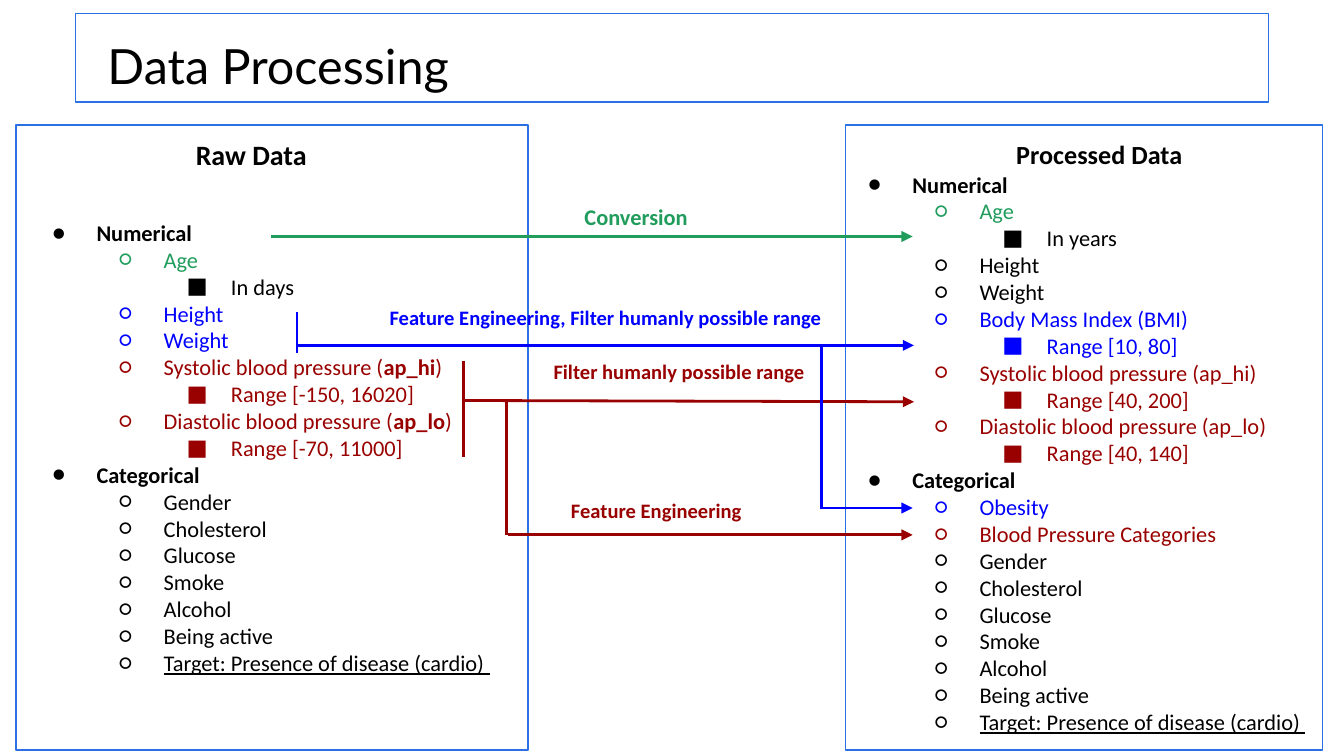
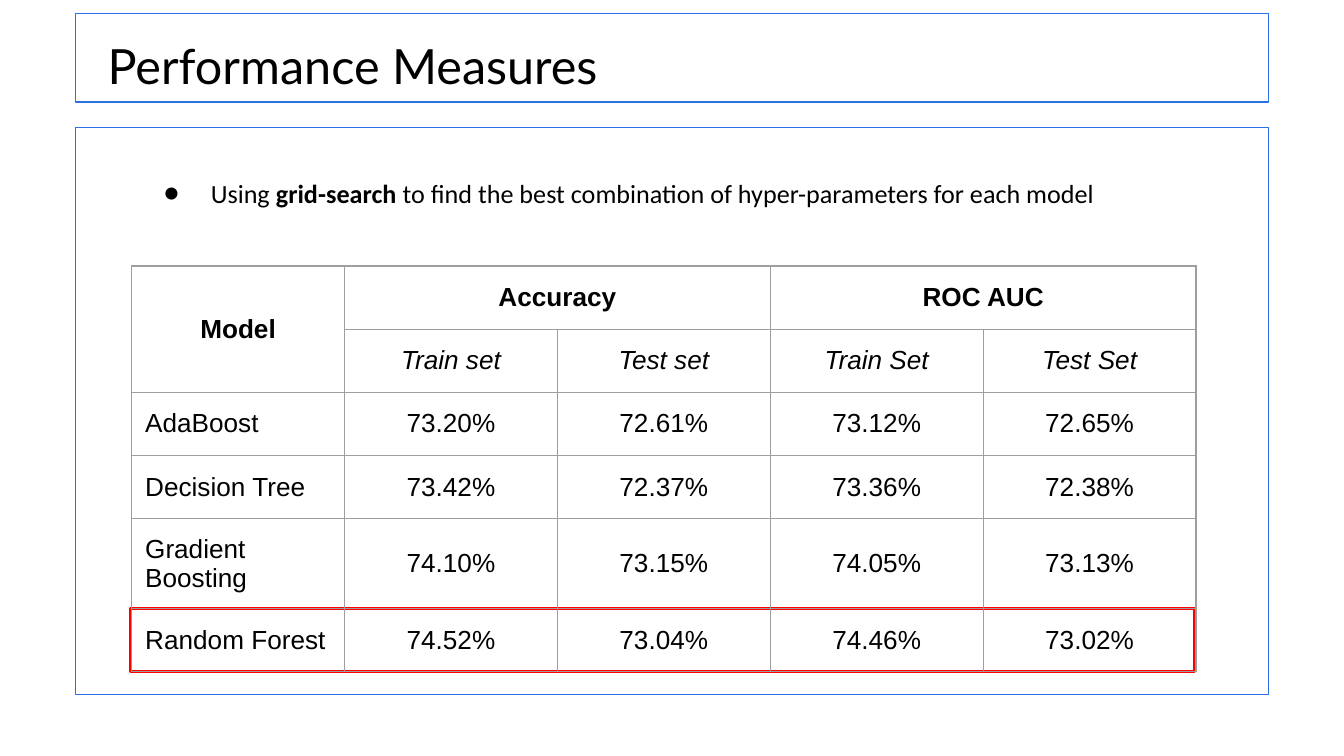
"""Build the data processing and performance measures slides."""
import pptx
import pptx.dml.color
import pptx.enum.shapes
import pptx.enum.text
import pptx.oxml.ns
import pptx.util
from lxml import etree

PX = 9144
BLACK, WHITE, FRAME = "000000", "FFFFFF", "2B70E4"
GREEN, BLUE, MAROON = "209D5C", "0000FF", "990000"
RED, GRID = "FF0000", "9E9E9E"
CENTER = pptx.enum.text.PP_ALIGN.CENTER
MIDDLE = pptx.enum.text.MSO_ANCHOR.MIDDLE
BULLETS = "●○■"
TITLE_BAND = (56, 10, 888, 66)

# In text, *...* is bold and ~...~ is underlined.
SHARED_CATEGORIES = [
    (1, BLACK, name)
    for name in ("Gender", "Cholesterol", "Glucose", "Smoke", "Alcohol", "Being active",
                 "~Target: Presence of disease (cardio) ~")
]
RAW_FEATURES = [
    (0, BLACK, "*Numerical*"),
    (1, GREEN, "Age"),
    (2, BLACK, "In days"),
    (1, BLUE, "Height"),
    (1, BLUE, "Weight"),
    (1, MAROON, "Systolic blood pressure (*ap_hi*)"),
    (2, MAROON, "Range [-150, 16020]"),
    (1, MAROON, "Diastolic blood pressure (*ap_lo*)"),
    (2, MAROON, "Range [-70, 11000]"),
    (0, BLACK, "*Categorical*"),
] + SHARED_CATEGORIES
PROCESSED_FEATURES = [
    (0, BLACK, "*Numerical*"),
    (1, GREEN, "Age"),
    (2, BLACK, "In years"),
    (1, BLACK, "Height"),
    (1, BLACK, "Weight"),
    (1, BLUE, "Body Mass Index (BMI)"),
    (2, BLUE, "Range [10, 80]"),
    (1, MAROON, "Systolic blood pressure (ap_hi)"),
    (2, MAROON, "Range [40, 200]"),
    (1, MAROON, "Diastolic blood pressure (ap_lo)"),
    (2, MAROON, "Range [40, 140]"),
    (0, BLACK, "*Categorical*"),
    (1, BLUE, "Obesity"),
    (1, MAROON, "Blood Pressure Categories"),
] + SHARED_CATEGORIES
PANELS = [(629, 93, 355, 465), (12, 93, 381, 465)]
PANEL_TITLES = [
    ("*Raw Data*", (115, 92, 144, 45), 15),
    ("*Processed Data*", (741, 93, 154, 44), 14),
]
FEATURE_LISTS = [
    (RAW_FEATURES, (12, 153, 397, 364)),
    (PROCESSED_FEATURES, (619, 117, 397, 444)),
]
FLOWS = [
    ((202, 176), (679, 176), GREEN, True),
    ((346, 298), (680, 299), MAROON, True),
    ((221, 257), (680, 257), BLUE, True),
    ((221, 232), (221, 263), BLUE, False),
    ((345, 269), (345, 340), MAROON, False),
    ((612, 378), (679, 378), BLUE, True),
    ((378, 398), (679, 398), MAROON, True),
    ((377, 398), (377, 298), MAROON, False),
    ((611, 379), (611, 257), BLUE, False),
]
FLOW_LABELS = [
    ("*Conversion*", (425, 141, 162, 40), 12, GREEN),
    ("*Filter humanly possible range*", (402, 258, 255, 39), 11, MAROON),
    ("*Feature Engineering, Filter humanly possible range*", (280, 218, 355, 39), 11, BLUE),
    ("*Feature Engineering*", (415, 361, 228, 39), 11, MAROON),
]

METHOD = [(0, BLACK, "Using *grid-search* to find the best combination "
                     "of hyper-parameters for each model")]
SCORES = [
    ("*Model*", "*Accuracy*", "", "*ROC AUC*", ""),
    ("", "Train set", "Test set", "Train Set", "Test Set"),
    ("AdaBoost", "73.20%", "72.61%", "73.12%", "72.65%"),
    ("Decision Tree", "73.42%", "72.37%", "73.36%", "72.38%"),
    ("Gradient Boosting", "74.10%", "73.15%", "74.05%", "73.13%"),
    ("Random Forest", "74.52%", "73.04%", "74.46%", "73.02%"),
]
SCORE_ROWS = [47, 47, 47, 47, 67, 47]
SCORE_MERGES = [((0, 0), (1, 0)), ((0, 1), (0, 2)), ((0, 3), (0, 4))]


def emu(lengths):
    return [length * PX for length in lengths]


def color(value):
    return pptx.dml.color.RGBColor.from_string(value)


def node(parent, tag, **attributes):
    return etree.SubElement(parent, pptx.oxml.ns.qn(tag), **attributes)


def write(paragraph, text, size=12, font="Calibri", ink=BLACK, italic=False,
          align=None, spacing=None):
    paragraph.alignment = align
    paragraph.line_spacing = spacing
    for i, part in enumerate(text.split("*")):
        for j, piece in enumerate(part.split("~")):
            if piece:
                run = paragraph.add_run()
                run.text = piece
                run.font.size = pptx.util.Pt(size)
                run.font.name = font
                run.font.bold = i % 2 == 1
                run.font.underline = j % 2 == 1
                run.font.italic = italic
                run.font.color.rgb = color(ink)


def set_margins(holder, margin):
    holder.margin_left = holder.margin_right = margin * PX
    holder.margin_top = holder.margin_bottom = margin * PX


def add_frame(slide, box, margin=10):
    frame = slide.shapes.add_textbox(*emu(box)).text_frame
    frame.word_wrap = True
    frame.auto_size = pptx.enum.text.MSO_AUTO_SIZE.SHAPE_TO_FIT_TEXT
    set_margins(frame, margin)
    return frame


def add_label(slide, text, box, margin=10, **style):
    write(add_frame(slide, box, margin).paragraphs[0], text, **style)


def add_bullets(slide, items, box, size=12, hang=33):
    frame = add_frame(slide, box)
    for i, (level, ink, text) in enumerate(items):
        paragraph = frame.add_paragraph() if i else frame.paragraphs[0]
        paragraph.level = level
        write(paragraph, text, size=size, ink=ink)
        properties = paragraph._p.get_or_add_pPr()
        properties.set("marL", str(50 * (level + 1) * PX))
        properties.set("indent", str(-hang * PX))
        node(node(properties, "a:buClr"), "a:srgbClr", val=ink)
        node(properties, "a:buFont", typeface="Calibri")
        node(properties, "a:buChar", char=BULLETS[level])


def add_box(slide, box, line=FRAME, width=0.75, fill=WHITE):
    shape = slide.shapes.add_shape(pptx.enum.shapes.MSO_SHAPE.RECTANGLE, *emu(box))
    shape.shadow.inherit = False
    if fill:
        shape.fill.solid()
        shape.fill.fore_color.rgb = color(fill)
    else:
        shape.fill.background()
    shape.line.color.rgb = color(line)
    shape.line.width = pptx.util.Pt(width)


def add_flow(slide, start, end, ink, arrow):
    flow = slide.shapes.add_connector(
        pptx.enum.shapes.MSO_CONNECTOR.STRAIGHT, *emu(start + end))
    flow.line.color.rgb = color(ink)
    flow.line.width = pptx.util.Pt(1.5)
    if arrow:
        node(flow.line._get_or_add_ln(), "a:tailEnd", type="triangle")
    node(flow._element.spPr, "a:effectLst")


def add_slide(deck, title, title_width, panels):
    slide = deck.slides.add_slide(deck.slide_layouts[6])
    for box in panels + [TITLE_BAND]:
        add_box(slide, box)
    add_label(slide, title, (80, 18, title_width, 44), margin=0,
              size=26, font="Lato", spacing=1.2)
    return slide


def add_scores(slide, left, top, width):
    table = slide.shapes.add_table(
        len(SCORES), len(SCORES[0]), *emu((left, top, width, sum(SCORE_ROWS)))).table
    table.first_row = table.horz_banding = False
    for column in table.columns:
        column.width = width * PX // len(SCORES[0])
    for r, (height, texts) in enumerate(zip(SCORE_ROWS, SCORES)):
        table.rows[r].height = height * PX
        for c, text in enumerate(texts):
            cell = table.cell(r, c)
            cell.vertical_anchor = MIDDLE
            set_margins(cell, 10)
            write(cell.text_frame.paragraphs[0], text, size=14, font="Arial",
                  italic=r == 1, align=CENTER if c or r < 2 else None)
            for side in "LRTB":
                border = node(cell._tc.get_or_add_tcPr(), f"a:ln{side}",
                              w=str(pptx.util.Pt(0.75)))
                node(node(border, "a:solidFill"), "a:srgbClr", val=GRID)
            cell.fill.background()
    for first, last in SCORE_MERGES:
        table.cell(*first).merge(table.cell(*last))


def build_processing(deck):
    slide = add_slide(deck, "Data Processing", 327, PANELS)
    for text, box, size in PANEL_TITLES:
        add_label(slide, text, box, size=size, align=CENTER)
    for items, box in FEATURE_LISTS:
        add_bullets(slide, items, box)
    for flow in FLOWS:
        add_flow(slide, *flow)
    for text, box, size, ink in FLOW_LABELS:
        add_label(slide, text, box, size=size, ink=ink)


def build_performance(deck):
    slide = add_slide(deck, "Performance Measures", 458, [(56, 95, 888, 422)])
    add_box(slide, (97, 453, 792, 47), line=RED, width=1.5, fill=None)
    add_scores(slide, 98, 198, 792)
    add_bullets(slide, METHOD, (97, 122, 806, 44), size=14, hang=35)


def main():
    deck = pptx.Presentation()
    deck.slide_width = 1000 * PX
    deck.slide_height = deck.slide_width * 9 // 16
    build_processing(deck)
    build_performance(deck)
    deck.save("out.pptx")


if __name__ == "__main__":
    main()
